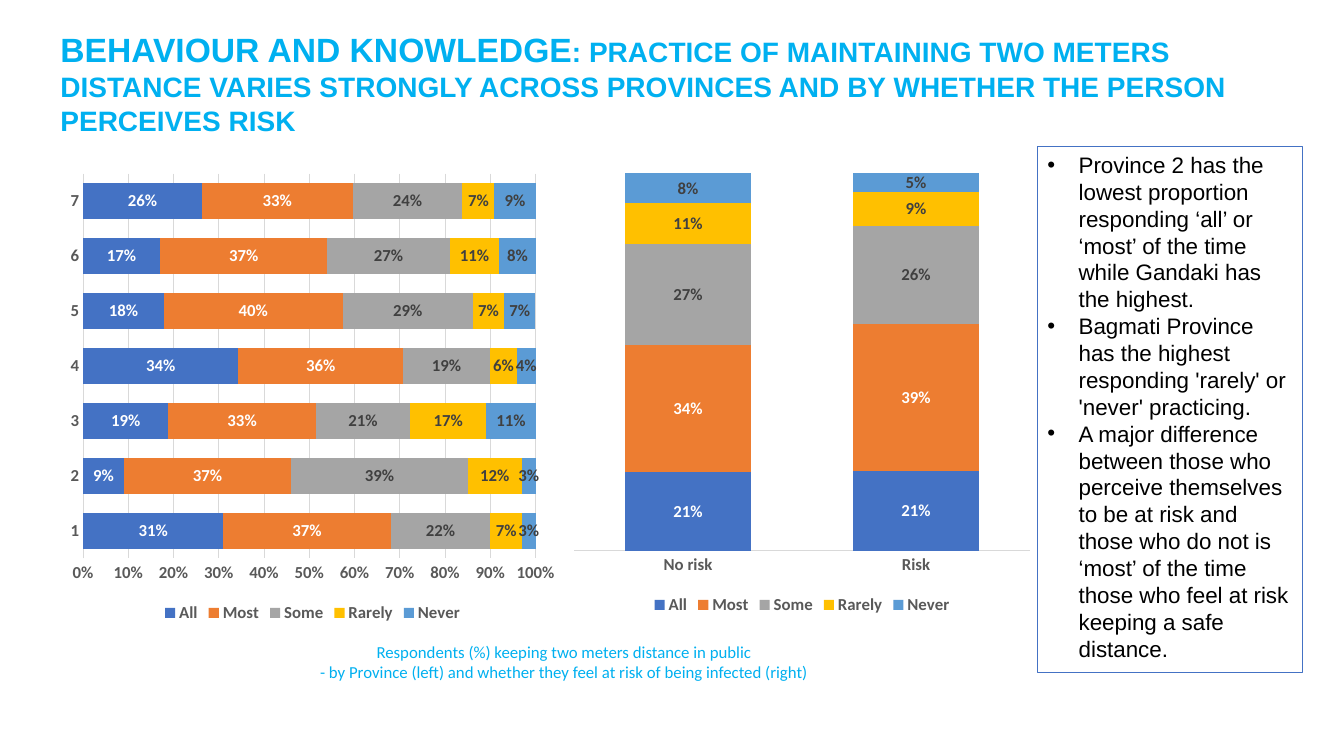
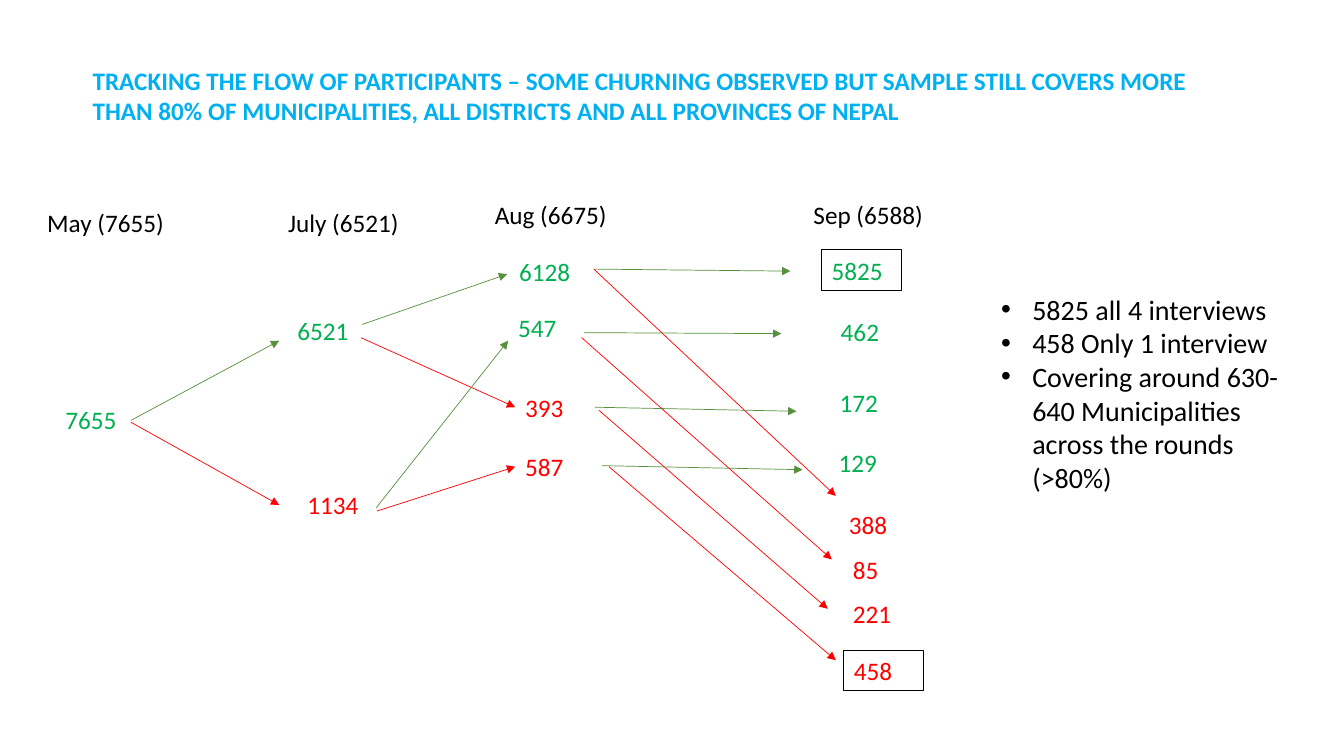
"""Build two survey slides: distancing practice by group, and the flow of participants."""
from dataclasses import dataclass
from typing import Optional

from lxml import etree
from pptx import Presentation
from pptx.chart.chart import Chart
from pptx.chart.data import CategoryChartData
from pptx.dml.color import RGBColor
from pptx.enum.chart import XL_CHART_TYPE, XL_LABEL_POSITION, XL_LEGEND_POSITION, XL_TICK_MARK
from pptx.enum.shapes import MSO_CONNECTOR
from pptx.enum.text import MSO_AUTO_SIZE, PP_ALIGN
from pptx.oxml.ns import qn
from pptx.slide import Slide
from pptx.text.text import Font, TextFrame
from pptx.util import Inches, Pt

BARS = XL_CHART_TYPE.BAR_STACKED_100
COLUMNS = XL_CHART_TYPE.COLUMN_STACKED_100
LABEL_CENTER = XL_LABEL_POSITION.CENTER
LEGEND_BOTTOM = XL_LEGEND_POSITION.BOTTOM
NO_TICK = XL_TICK_MARK.NONE
STRAIGHT = MSO_CONNECTOR.STRAIGHT
FIT_SHAPE = MSO_AUTO_SIZE.SHAPE_TO_FIT_TEXT
LEFT, CENTER = PP_ALIGN.LEFT, PP_ALIGN.CENTER


@dataclass(frozen=True)
class Theme:
    """Colours, fonts and sizes shared by both slides."""

    title: str = "00B0F0"
    text: str = "000000"
    axis: str = "595959"
    grid: str = "D9D9D9"
    frame: str = "4472C4"
    light_label: str = "FFFFFF"
    dark_label: str = "404040"
    stayed: str = "00B050"
    missed: str = "FF0000"
    stayed_arrow: str = "57903F"
    heading_font: str = "Arial"
    body_font: str = "Calibri"
    lead_size: float = 24
    title_size: float = 20
    flow_size: float = 18
    comment_size: float = 16
    chart_size: float = 12
    hairline: float = 0.5
    thin: float = 0.75


THEME = Theme()


@dataclass(frozen=True)
class Box:
    """Place of an element in inches."""

    left: float
    top: float
    width: float
    height: float

    def lengths(self) -> tuple:
        """Return the place as lengths."""
        return tuple(Inches(n) for n in (self.left, self.top, self.width, self.height))


@dataclass(frozen=True)
class TextStyle:
    """Look of a block of text."""

    size: float
    color: str = THEME.text
    font: str = THEME.body_font
    bold: bool = False
    align: PP_ALIGN = LEFT
    bulleted: bool = False
    border: Optional[str] = None


@dataclass(frozen=True)
class Answer:
    """One answer with its shares by province and by perceived risk."""

    name: str
    color: str
    label: str
    by_province: tuple
    by_risk: tuple


@dataclass(frozen=True)
class Count:
    """A number or heading in the participant flow."""

    text: str
    left: float
    top: float
    color: str
    width: float = 0.79
    border: Optional[str] = None


@dataclass(frozen=True)
class Flow:
    """An arrow between two rounds."""

    start: tuple
    end: tuple
    color: str


ANSWERS = (
    Answer("All", "4472C4", THEME.light_label,
           (0.31, 0.09, 0.19, 0.34, 0.18, 0.17, 0.26), (0.21, 0.21)),
    Answer("Most", "ED7D31", THEME.light_label,
           (0.37, 0.37, 0.33, 0.36, 0.40, 0.37, 0.33), (0.34, 0.39)),
    Answer("Some", "A5A5A5", THEME.dark_label,
           (0.22, 0.39, 0.21, 0.19, 0.29, 0.27, 0.24), (0.27, 0.26)),
    Answer("Rarely", "FFC000", THEME.dark_label,
           (0.07, 0.12, 0.17, 0.06, 0.07, 0.11, 0.07), (0.11, 0.09)),
    Answer("Never", "5B9BD5", THEME.dark_label,
           (0.03, 0.03, 0.11, 0.04, 0.07, 0.08, 0.09), (0.08, 0.05)),
)

COUNTS = (
    Count("May (7655)", 0.37, 2.01, THEME.text, 1.54),
    Count("July (6521)", 2.76, 2.01, THEME.text, 1.44),
    Count("Aug (6675)", 4.81, 1.93, THEME.text, 1.44),
    Count("Sep (6588)", 7.97, 1.93, THEME.text, 1.54),
    Count("7655", 0.55, 3.96, THEME.stayed, 1.19),
    Count("6521", 2.85, 3.08, THEME.stayed, 1.19),
    Count("1134", 2.95, 4.81, THEME.missed, 1.19),
    Count("6128", 5.05, 2.49, THEME.stayed),
    Count("547", 5.04, 3.05, THEME.stayed),
    Count("393", 5.11, 3.84, THEME.missed),
    Count("587", 5.11, 4.43, THEME.missed),
    Count("5825", 8.15, 2.48, THEME.stayed, border=THEME.text),
    Count("462", 8.24, 3.09, THEME.stayed),
    Count("172", 8.23, 3.79, THEME.stayed),
    Count("129", 8.22, 4.39, THEME.stayed),
    Count("388", 8.32, 5.0, THEME.missed),
    Count("85", 8.36, 5.45, THEME.missed),
    Count("221", 8.36, 5.89, THEME.missed),
    Count("458", 8.37, 6.45, THEME.missed, border=THEME.text),
)

FLOWS = (
    Flow((1.3, 4.17), (2.77, 3.38), THEME.stayed_arrow),
    Flow((1.3, 4.19), (2.77, 5.01), THEME.missed),
    Flow((3.59, 3.22), (5.03, 2.72), THEME.stayed_arrow),
    Flow((3.58, 3.35), (5.11, 4.04), THEME.missed),
    Flow((3.73, 5.04), (5.04, 3.38), THEME.stayed_arrow),
    Flow((3.74, 5.07), (5.11, 4.63), THEME.missed),
    Flow((5.89, 2.67), (7.84, 2.69), THEME.stayed_arrow),
    Flow((5.89, 2.67), (8.29, 4.92), THEME.missed),
    Flow((5.79, 3.3), (7.75, 3.31), THEME.stayed_arrow),
    Flow((5.77, 3.35), (8.25, 5.55), THEME.missed),
    Flow((5.9, 4.04), (7.9, 4.08), THEME.stayed_arrow),
    Flow((5.94, 4.07), (8.21, 6.04), THEME.missed),
    Flow((5.97, 4.62), (7.96, 4.66), THEME.stayed_arrow),
    Flow((6.04, 4.63), (8.29, 6.55), THEME.missed),
)


def rgb(color: str) -> RGBColor:
    """Turn a hex string into a colour."""
    return RGBColor.from_string(color)


def set_font(font: Font, size: float, color: str, name: str, bold: bool) -> None:
    """Apply face, size, weight and colour."""
    font.name, font.size, font.bold = name, Pt(size), bold
    font.color.rgb = rgb(color)


def add_text(slide: Slide, box: Box, lines: tuple, style: TextStyle) -> TextFrame:
    """Write one paragraph per line in a text box."""
    block = slide.shapes.add_textbox(*box.lengths())
    if style.border:
        block.line.color.rgb = rgb(style.border)
        block.line.width = Pt(THEME.thin)
    frame = block.text_frame
    frame.word_wrap = True
    frame.auto_size = FIT_SHAPE
    frame.text = "\n".join(lines)
    for paragraph in frame.paragraphs:
        paragraph.alignment = style.align
        if style.bulleted:
            properties = paragraph._p.get_or_add_pPr()
            properties.set("marL", str(Inches(0.31)))
            properties.set("indent", str(-Inches(0.31)))
            etree.SubElement(properties, qn("a:buFont"), typeface="Arial")
            etree.SubElement(properties, qn("a:buChar"), char="•")
        set_font(paragraph.font, style.size, style.color, style.font, style.bold)
    return frame


def add_title(slide: Slide, box: Box, text: str, size: float, font: str) -> TextFrame:
    """Write a bold slide title."""
    return add_text(slide, box, (text,), TextStyle(size, THEME.title, font, bold=True))


def add_answer_chart(slide: Slide, box: Box, kind: XL_CHART_TYPE, categories: tuple,
                     shares: tuple, gap: int) -> Chart:
    """Draw the answers as stacked shares of each category."""
    data = CategoryChartData(number_format="0%")
    data.categories = categories
    for answer, values in zip(ANSWERS, shares):
        data.add_series(answer.name, values)
    chart = slide.shapes.add_chart(kind, *box.lengths(), data).chart
    set_font(chart.font, THEME.chart_size, THEME.axis, THEME.body_font, True)
    chart.has_title = False
    chart.has_legend = True
    chart.legend.position = LEGEND_BOTTOM
    chart.legend.include_in_layout = False
    plot = chart.plots[0]
    plot.gap_width, plot.overlap, plot.vary_by_categories = gap, 100, False
    for answer, series in zip(ANSWERS, plot.series):
        series.format.fill.solid()
        series.format.fill.fore_color.rgb = rgb(answer.color)
        labels = series.data_labels
        labels.show_value = True
        labels.position = LABEL_CENTER
        labels.number_format, labels.number_format_is_linked = "0%", False
        set_font(labels.font, THEME.chart_size, answer.label, THEME.body_font, True)
    for axis in (chart.category_axis, chart.value_axis):
        axis.major_tick_mark = axis.minor_tick_mark = NO_TICK
    outline = chart.category_axis.format.line
    outline.color.rgb = rgb(THEME.grid)
    outline.width = Pt(THEME.thin)
    scale = chart.value_axis
    scale.minimum_scale, scale.maximum_scale, scale.major_unit = 0, 1, 0.1
    scale.tick_labels.number_format = "0%"
    scale.tick_labels.number_format_is_linked = False
    scale.format.line.fill.background()
    return chart


def add_flow(slide: Slide, flow: Flow) -> None:
    """Draw an arrow between two rounds."""
    ends = (Inches(n) for n in flow.start + flow.end)
    arrow = slide.shapes.add_connector(STRAIGHT, *ends)
    arrow.line.color.rgb = rgb(flow.color)
    arrow.line.width = Pt(THEME.hairline)
    properties = arrow.element.spPr
    etree.SubElement(properties.find(qn("a:ln")), qn("a:tailEnd"), type="triangle")
    etree.SubElement(properties, qn("a:effectLst"))


def build_practice(slide: Slide) -> None:
    """Show distancing practice by province and by perceived risk."""
    heading = add_title(slide, Box(0.5, 0.24, 12.31, 1.18), "BEHAVIOUR AND KNOWLEDGE",
                        THEME.title_size, THEME.heading_font).paragraphs[0]
    heading.runs[0].font.size = Pt(THEME.lead_size)
    heading.add_run().text = (": PRACTICE OF MAINTAINING TWO METERS DISTANCE VARIES STRONGLY "
                              "ACROSS PROVINCES AND BY WHETHER THE PERSON PERCEIVES RISK")
    add_text(slide, Box(10.29, 1.45, 2.63, 5.22), (
        "Province 2 has the lowest proportion responding ‘all’ or ‘most’ of the time "
        "while Gandaki has the highest.",
        "Bagmati Province has the highest responding 'rarely' or 'never' practicing.",
        "A major difference between those who perceive themselves to be at risk and those "
        "who do not is ‘most’ of the time those who feel at risk keeping a safe distance.",
    ), TextStyle(THEME.comment_size, font=THEME.heading_font, bulleted=True, border=THEME.frame))
    add_text(slide, Box(1.47, 6.32, 8.25, 0.5), (
        "Respondents (%) keeping two meters distance in public",
        "- by Province (left) and whether they feel at risk of being infected (right)",
    ), TextStyle(THEME.chart_size, THEME.title, align=CENTER))
    provinces = add_answer_chart(slide, Box(0.6, 1.63, 5, 4.59), BARS, tuple("1234567"),
                                 tuple(a.by_province for a in ANSWERS), 50)
    gridlines = provinces.value_axis.major_gridlines.format.line
    gridlines.color.rgb = rgb(THEME.grid)
    gridlines.width = Pt(THEME.thin)
    risk = add_answer_chart(slide, Box(5.6, 1.63, 4.71, 4.51), COLUMNS, ("No risk", "Risk"),
                            tuple(a.by_risk for a in ANSWERS), 80)
    risk.value_axis.has_major_gridlines = False
    risk.value_axis.visible = False


def build_tracking(slide: Slide) -> None:
    """Show how participants moved through the four rounds."""
    add_title(slide, Box(0.82, 0.6, 11.52, 0.71),
              "TRACKING THE FLOW OF PARTICIPANTS – SOME CHURNING OBSERVED BUT SAMPLE STILL COVERS "
              "MORE THAN 80% OF MUNICIPALITIES, ALL DISTRICTS AND ALL PROVINCES OF NEPAL",
              THEME.flow_size, THEME.body_font)
    for flow in FLOWS:
        add_flow(slide, flow)
    for count in COUNTS:
        add_text(slide, Box(count.left, count.top, count.width, 0.4), (count.text,),
                 TextStyle(THEME.flow_size, count.color, border=count.border))
    add_text(slide, Box(9.83, 2.85, 3.18, 2.46), (
        "5825 all 4 interviews",
        "458 Only 1 interview",
        "Covering around 630-640 Municipalities across the rounds (>80%)",
    ), TextStyle(THEME.title_size, bulleted=True))


def main() -> None:
    """Build and save the presentation."""
    deck = Presentation()
    deck.slide_width, deck.slide_height = Inches(13.33), Inches(7.5)
    for build in (build_practice, build_tracking):
        build(deck.slides.add_slide(deck.slide_layouts[6]))
    deck.save("out.pptx")


if __name__ == "__main__":
    main()
